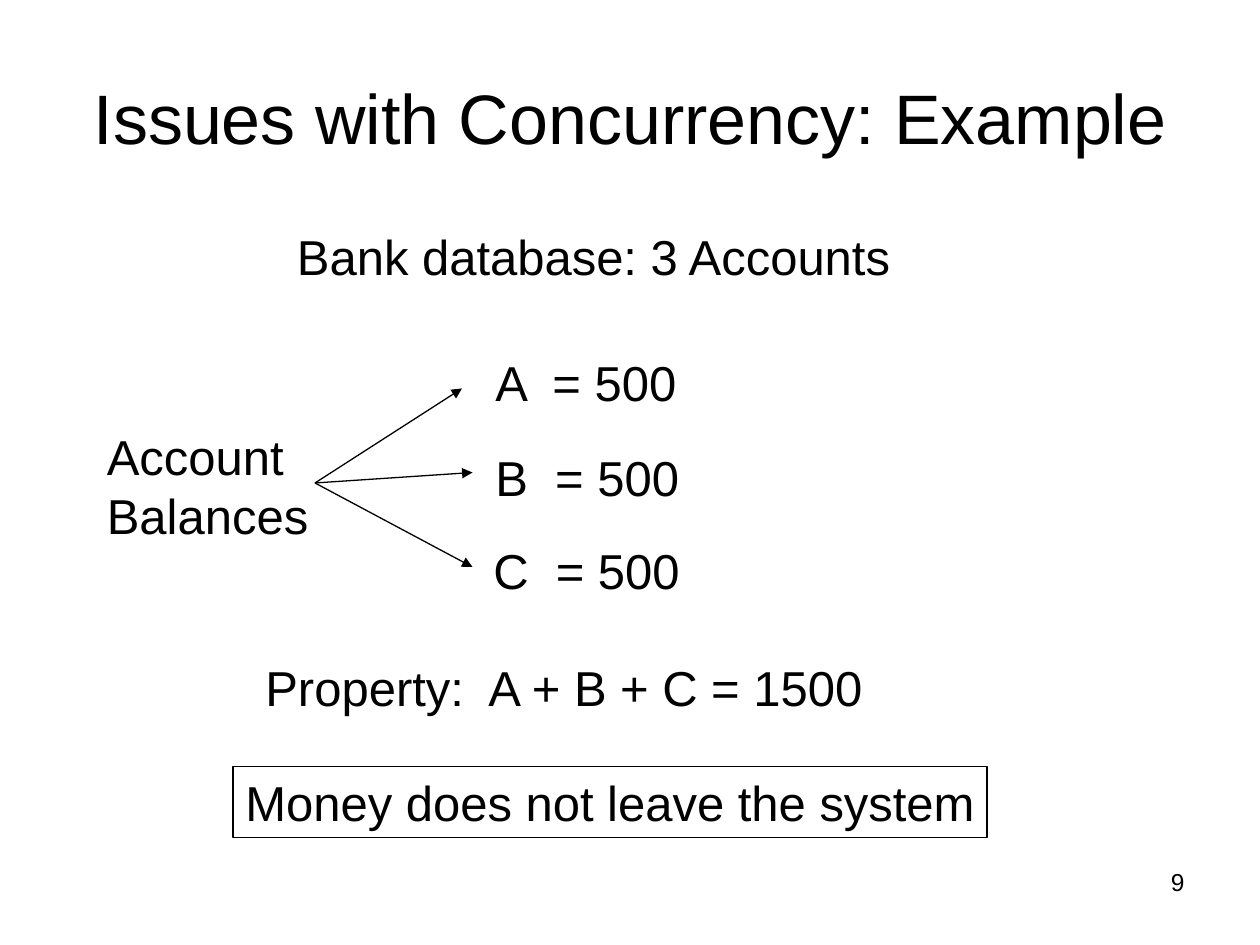
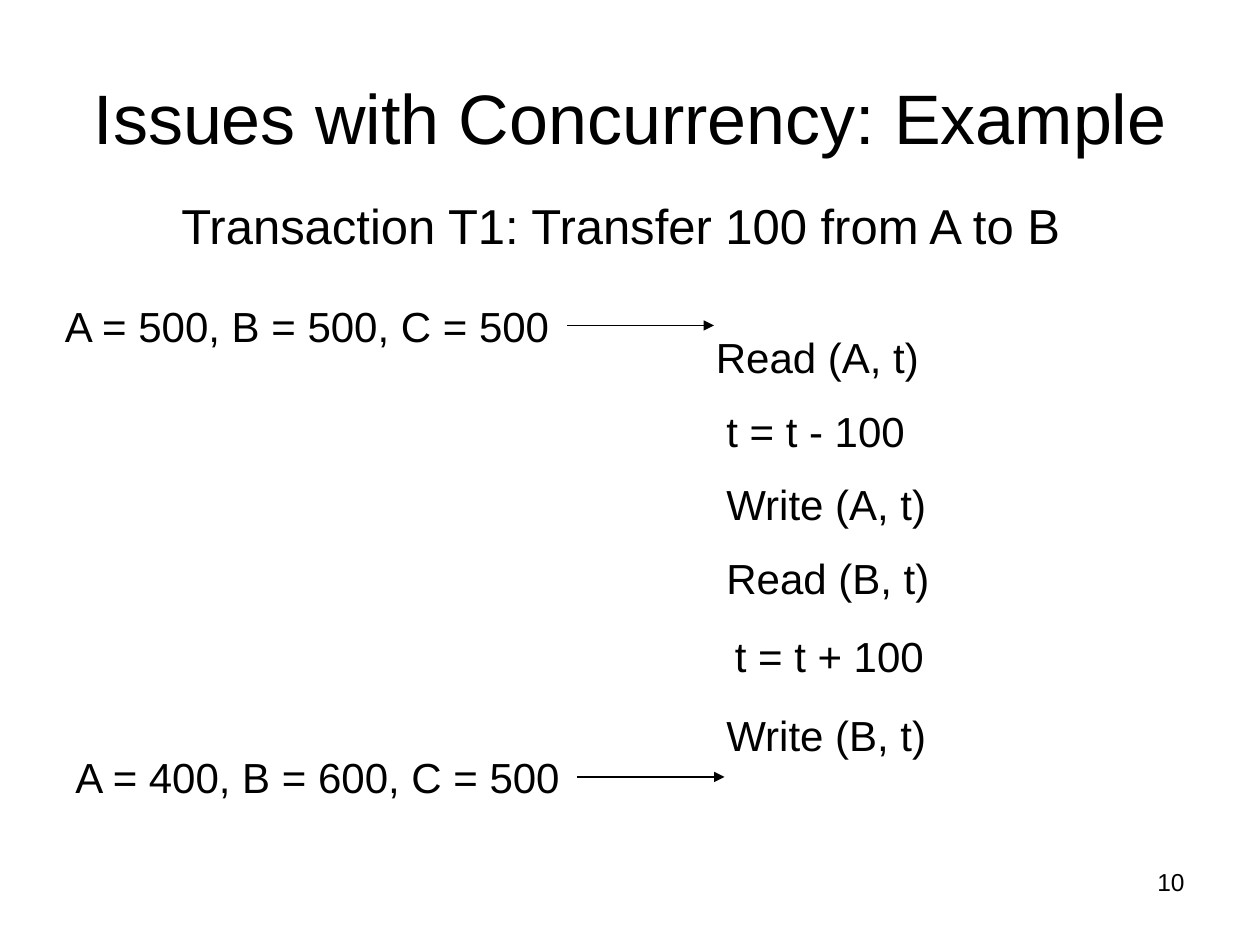
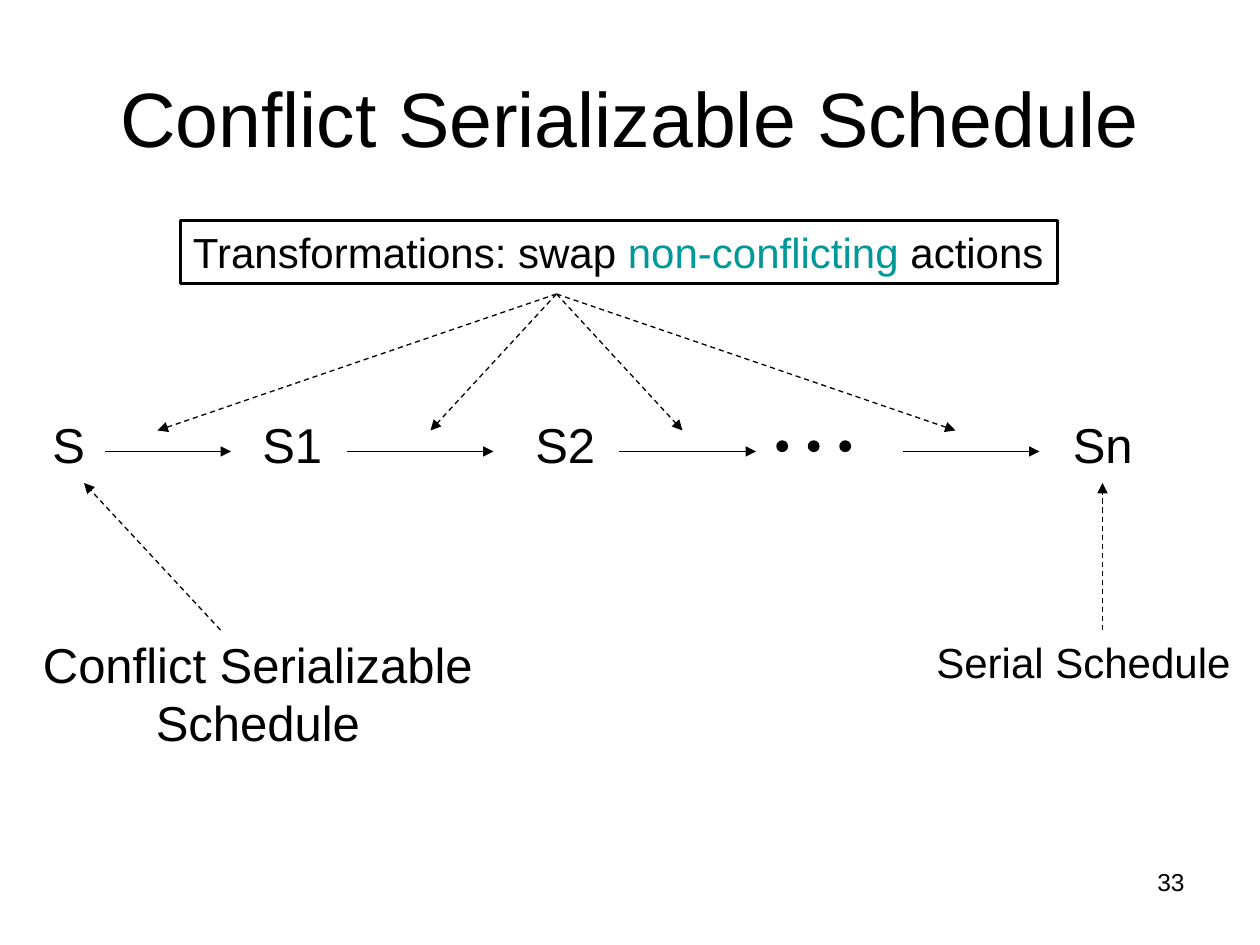
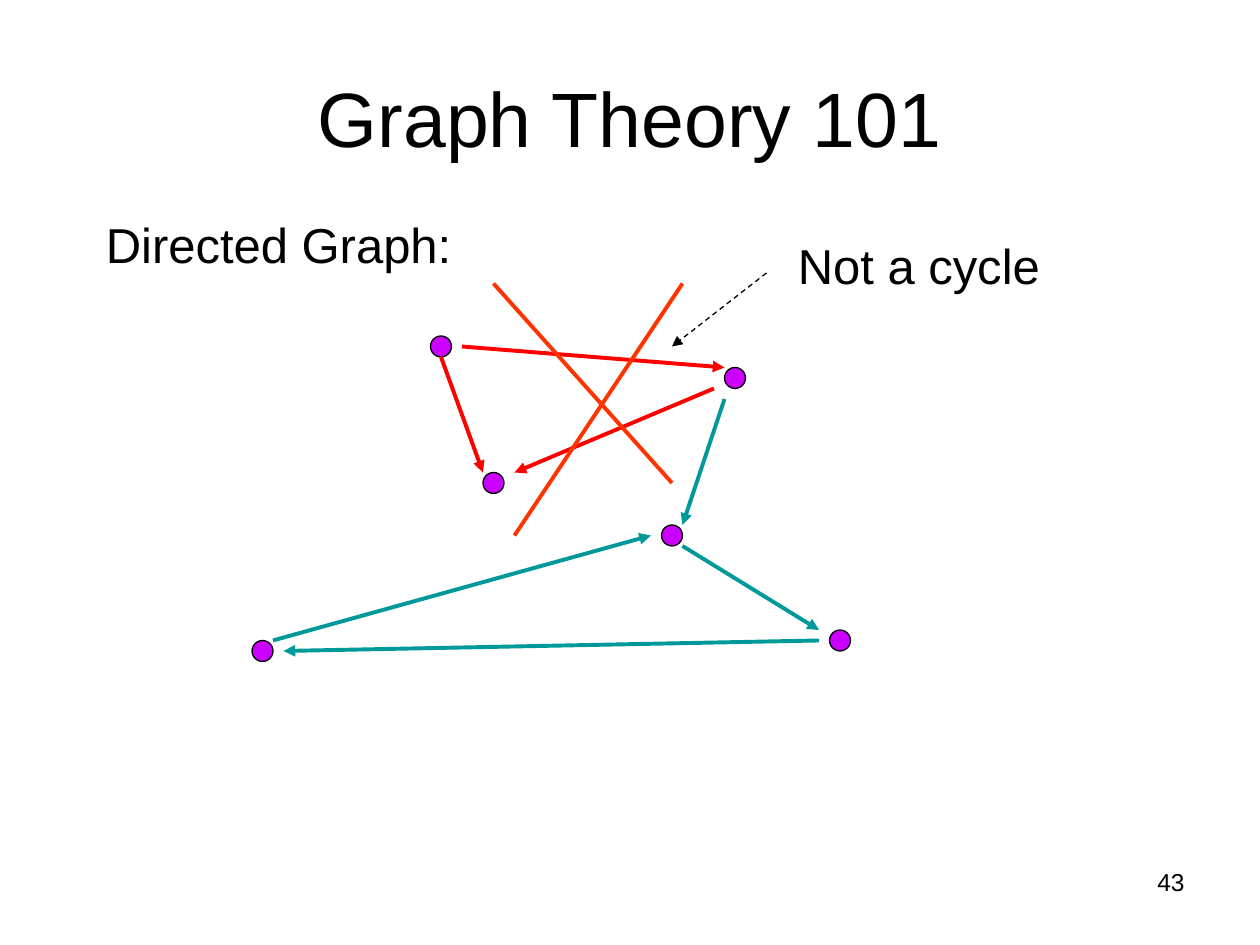
from lxml import etree
from pptx import Presentation
from pptx.dml.color import RGBColor
from pptx.enum.dml import MSO_LINE
from pptx.enum.shapes import MSO_CONNECTOR, MSO_SHAPE
from pptx.enum.text import MSO_ANCHOR, MSO_AUTO_SIZE, PP_ALIGN
from pptx.oxml.ns import qn
from pptx.util import Inches, Pt

WIDE, HIGH = Inches(10), Inches(7.5)
COLS, ROWS = 120, 90
FONT = "Arial"
BLACK, TEAL, RED, CROSS, NODE = "000000", "009999", "FF0000", "FF3300", "CC00FF"
LEFT, MID, RIGHT = PP_ALIGN.LEFT, PP_ALIGN.CENTER, PP_ALIGN.RIGHT
TOP, MIDDLE = MSO_ANCHOR.TOP, MSO_ANCHOR.MIDDLE
FIXED, GROW = MSO_AUTO_SIZE.NONE, MSO_AUTO_SIZE.SHAPE_TO_FIT_TEXT
RECT, OVAL = MSO_SHAPE.RECTANGLE, MSO_SHAPE.OVAL
LINE, DASH = MSO_CONNECTOR.STRAIGHT, MSO_LINE.DASH
THIN, EDGE, THICK = 0.75, 1.5, 2.25
SMALL, BODY, LARGE = 14, 24, 28


def color(code):
    """Turn a hex string into a colour."""
    return RGBColor.from_string(code)


def assign(item, values):
    """Set each attribute of an item from a dict."""
    for name, value in values.items():
        setattr(item, name, value)


def grid(*pairs):
    """Turn column and row pairs into lengths on the slide."""
    return [n for col, row in pairs
            for n in (int(WIDE * col / COLS), int(HIGH * row / ROWS))]


def write(frame, parts, size, align=LEFT, **extra):
    """Fill a text frame with one paragraph of coloured parts."""
    assign(frame, {"word_wrap": False, "auto_size": GROW,
                   "vertical_anchor": TOP, **extra})
    para = frame.paragraphs[0]
    para.alignment = align
    assign(para.font, {"size": Pt(size), "name": FONT})
    for text, code in parts:
        for at, words in enumerate(text.split("\n")):
            if at:
                para.add_line_break()
            run = para.add_run()
            run.text = words
            assign(run.font, {"size": Pt(size), "name": FONT})
            run.font.color.rgb = color(code)


def label(slide, text, col, row, wide, size=LARGE, align=LEFT):
    """Add a text box as high as its lines."""
    high = (text.count("\n") + 1) * size * 0.2 + 1.2
    box = slide.shapes.add_textbox(*grid((col, row), (wide, high)))
    write(box.text_frame, [(text, BLACK)], size, align)


def outline(shape, code, width):
    """Give a shape or connector its line."""
    shape.line.color.rgb = color(code)
    shape.line.width = Pt(width)


def frame(slide, parts, col, row, wide, size, width):
    """Add a framed line of text."""
    box = slide.shapes.add_shape(
        RECT, *grid((col, row), (wide, size * 0.2 + 1.2)))
    box.shadow.inherit = False
    box.fill.background()
    outline(box, BLACK, width)
    write(box.text_frame, parts, size)


def dot(slide, col, row, size, code):
    """Add a filled circle."""
    mark = slide.shapes.add_shape(OVAL, *grid((col, row), (size, size)))
    mark.shadow.inherit = False
    mark.fill.solid()
    mark.fill.fore_color.rgb = color(code)
    outline(mark, BLACK, THIN)


def stroke(slide, start, end, code=BLACK, width=THIN, dash=None, head=True):
    """Add a straight line, with an arrowhead unless told not to."""
    link = slide.shapes.add_connector(LINE, *grid(start, end))
    outline(link, code, width)
    if dash:
        link.line.dash_style = dash
    if head:
        tip = etree.SubElement(link.line._get_or_add_ln(), qn("a:tailEnd"))
        tip.set("type", "triangle")
    etree.SubElement(link._element.spPr, qn("a:effectLst"))


def page(deck, title, size, number):
    """Add a slide with its title and number."""
    slide = deck.slides.add_slide(deck.slide_layouts[5])
    head = slide.shapes.title
    left, top, wide, high = grid((6, 3.6), (108, 15))
    assign(head, {"left": left, "top": top, "width": wide, "height": high})
    write(head.text_frame, [(title, BLACK)], size, MID, word_wrap=True,
          auto_size=FIXED, vertical_anchor=MIDDLE)
    foot = slide.shapes.add_textbox(*grid((86, 82), (28, 6.2)))
    write(foot.text_frame, [(str(number), BLACK)], SMALL, RIGHT,
          word_wrap=True, auto_size=FIXED)
    return slide


def bank(deck):
    """Show the accounts and what holds for them."""
    slide = page(deck, "Issues with Concurrency: Example", 40, 9)
    label(slide, "Bank database: 3 Accounts", 27.1, 21, 59.2)
    label(slide, "Account\nBalances", 9, 40, 21.7)
    for name, col, row, wide, end in (("A", 46, 33, 20, (44, 37)),
                                      ("B", 46, 42, 20, (45, 45)),
                                      ("C", 45.8, 50.9, 20.3, (45, 54))):
        label(slide, f"{name}  = 500", col, row, wide)
        stroke(slide, (30, 46), end)
    label(slide, "Property:  A + B + C = 1500", 24.1, 62, 59.8)
    frame(slide, [("Money does not leave the system", BLACK)],
          22.2, 73, 71.8, LARGE, THIN)


def transfer(deck):
    """Show the steps of one transaction."""
    slide = page(deck, "Issues with Concurrency: Example", 40, 10)
    label(slide, "Transaction T1: Transfer 100 from A to B", 16.1, 18, 87.2)
    for text, col, row, wide in (("Read (A, t)", 67, 31, 21.8),
                                 ("t = t - 100", 68, 38, 19.5),
                                 ("Write (A, t)", 68, 45, 22.6),
                                 ("Read (B, t)", 68, 52, 21.8),
                                 ("t = t + 100", 68.8, 59.5, 20.5),
                                 ("Write (B, t)", 68, 67, 21.6)):
        label(slide, text, col, row, wide, BODY)
    for text, col, row in (("A = 500, B = 500, C = 500", 5, 28),
                           ("A = 400, B = 600, C = 500", 6, 71)):
        label(slide, text, col, row, 48.8, BODY)
        stroke(slide, (col + 49, row + 3), (col + 63, row + 3))


def swaps(deck):
    """Show the chain of swaps from one schedule to a serial one."""
    slide = page(deck, "Conflict Serializable Schedule", 44, 33)
    frame(slide, [("Transformations: swap ", BLACK), ("non-conflicting", TEAL),
                  (" actions", BLACK)], 17.2, 21, 83.5, BODY, EDGE)
    for text, col, wide in (("S", 3.8, 5.6), ("S1", 23.8, 8.2),
                            ("S2", 49.8, 8.2), ("Sn", 101, 8.2)):
        label(slide, text, col, 38.9, wide)
    for start, end, aim in ((10, 22, 15), (33, 47, 41),
                            (59, 72, 65), (86, 99, 91)):
        stroke(slide, (start, 43), (end, 43))
        stroke(slide, (53, 28), (aim, 41), dash=DASH)
    for step in range(3):
        dot(slide, 74 + 3 * step, 42, 1, BLACK)
    label(slide, "Conflict Serializable\nSchedule", 2.9, 59.8, 43.3, align=MID)
    label(slide, "Serial Schedule", 88, 60, 30.5, BODY)
    for start, end in ((21, 8), (105, 105)):
        stroke(slide, (start, 60), (end, 46), dash=DASH)


def graph(deck):
    """Show a directed graph and a false cycle in it."""
    slide = page(deck, "Graph Theory 101", 44, 43)
    label(slide, "Directed Graph:", 8.9, 19.8, 35.4)
    label(slide, "Not a cycle", 74.8, 21.8, 25.6)
    for col, row in ((79, 60), (41, 32), (24, 61),
                     (69, 35), (46, 45), (63, 50)):
        dot(slide, col, row, 2, NODE)
    edges = {RED: (((42, 34), (46, 45)), ((44, 33), (69, 35)),
                   ((68, 37), (49, 45))),
             TEAL: (((69, 38), (65, 50)), ((26, 61), (62, 51)),
                    ((65, 52), (78, 60)), ((78, 61), (27, 62))),
             CROSS: (((47, 27), (64, 46)), ((65, 27), (49, 51)))}
    for code, pairs in edges.items():
        for start, end in pairs:
            stroke(slide, start, end, code, THICK, head=code != CROSS)
    stroke(slide, (73, 26), (64, 33), dash=DASH)


def main():
    """Build and save the deck."""
    deck = Presentation()
    assign(deck, {"slide_width": WIDE, "slide_height": HIGH})
    for build in (bank, transfer, swaps, graph):
        build(deck)
    deck.save("out.pptx")


if __name__ == "__main__":
    main()
